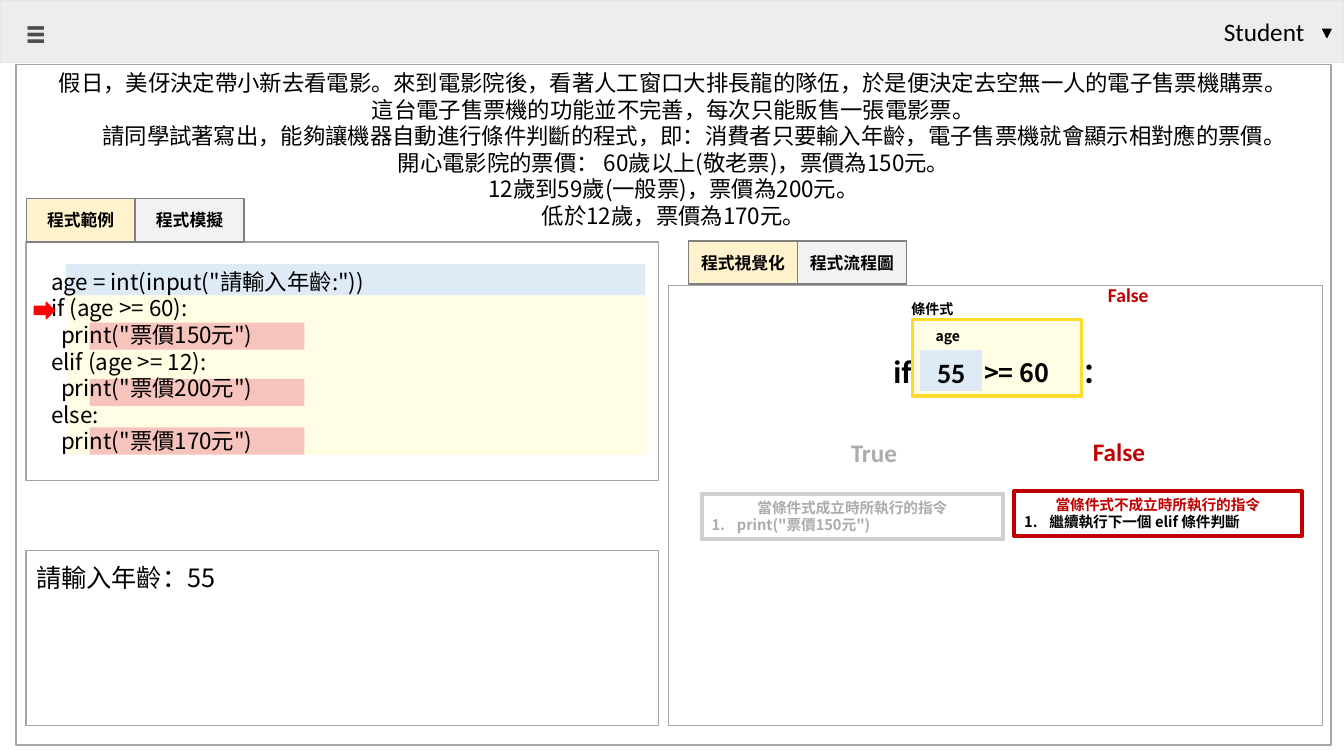
from lxml.etree import SubElement
from pptx import Presentation
from pptx.dml.color import RGBColor
from pptx.enum.shapes import MSO_SHAPE
from pptx.enum.text import MSO_ANCHOR, PP_ALIGN
from pptx.oxml.ns import qn
from pptx.util import Inches, Pt

BLACK = RGBColor(0x00, 0x00, 0x00)
WHITE = RGBColor(0xFF, 0xFF, 0xFF)
PANEL_LINE = RGBColor(0xA5, 0xA5, 0xA5)
TAB_LINE = RGBColor(0x80, 0x80, 0x80)
TAB_ACTIVE = RGBColor(0xFF, 0xF2, 0xCC)
TAB_IDLE = RGBColor(0xF2, 0xF2, 0xF2)
HEADER_FILL = RGBColor(0xED, 0xED, 0xED)
HEADER_LINE = RGBColor(0xE7, 0xE6, 0xE6)
MENU_GRAY = RGBColor(0x4D, 0x4D, 0x4D)
INPUT_BLUE = RGBColor(0xDE, 0xEB, 0xF7)
BRANCH_YELLOW = RGBColor(0xFF, 0xFD, 0xE3)
PRINT_PINK = RGBColor(0xF6, 0xC4, 0xBC)
CONDITION_GOLD = RGBColor(0xFF, 0xDA, 0x2D)
MUTED_LINE = RGBColor(0xD0, 0xCE, 0xCE)
MUTED_TEXT = RGBColor(0xAF, 0xAB, 0xAB)
FALSE_RED = RGBColor(0xC0, 0x00, 0x00)
POINTER_RED = RGBColor(0xFF, 0x00, 0x00)

CJK = "Noto Sans CJK SC"
LATIN = "Calibri"
CJK_LEADING = 1.19
TAB_WIDTH, TAB_HEIGHT = 1.08, 0.43

STYLES = {
    "body": {"name": CJK, "size": Pt(16), "bold": False},
    "console": {"name": CJK, "size": Pt(18), "bold": False},
    "tab": {"name": CJK, "size": Pt(12), "bold": True},
    "branch": {"name": CJK, "size": Pt(10.5), "bold": True},
    "caption": {"name": CJK, "size": Pt(10), "bold": True},
    "keyword": {"name": CJK, "size": Pt(20), "bold": True},
    "operator": {"name": CJK, "size": Pt(18), "bold": True},
    "value": {"name": LATIN, "size": Pt(20), "bold": True},
    "user": {"name": LATIN, "size": Pt(18), "bold": False},
    "menu": {"name": LATIN, "size": Pt(28), "bold": True},
    "outcome": {"name": LATIN, "size": Pt(18), "bold": True},
    "result": {"name": LATIN, "size": Pt(14), "bold": True},
}

STORY = [
    "假日，美伢決定帶小新去看電影。來到電影院後，看著人工窗口大排長龍的隊伍，於是便決定去空無一人的電子售票機購票。",
    "這台電子售票機的功能並不完善，每次只能販售一張電影票。",
    "請同學試著寫出，能夠讓機器自動進行條件判斷的程式，即：消費者只要輸入年齡，電子售票機就會顯示相對應的票價。",
    "開心電影院的票價： 60歲以上(敬老票)，票價為150元。",
    "12歲到59歲(一般票)，票價為200元。",
    "低於12歲，票價為170元。",
]
CODE = [
    '   age = int(input("請輸入年齡:"))',
    "   if (age >= 60):",
    '     print("票價150元")',
    "   elif (age >= 12):",
    '     print("票價200元")',
    "   else:",
    '     print("票價170元")',
]


def add_box(slide, at, fill=None, line=None, weight=1, kind=MSO_SHAPE.RECTANGLE):
    """Add a flat preset shape at (left, top, width, height) in inches."""
    box = slide.shapes.add_shape(kind, *map(Inches, at))
    box.shadow.inherit = False
    if fill is None:
        box.fill.background()
    else:
        box.fill.solid()
        box.fill.fore_color.rgb = fill
    if line is None:
        box.line.fill.background()
    else:
        box.line.color.rgb = line
        box.line.width = Pt(weight)
    return box


def write_lines(box, lines, style, color=BLACK, align=PP_ALIGN.LEFT, **frame_format):
    """Fill a shape with one paragraph per line in a named style."""
    frame = box.text_frame
    defaults = {"word_wrap": True, "vertical_anchor": MSO_ANCHOR.TOP}
    for attribute, value in {**defaults, **frame_format}.items():
        setattr(frame, attribute, value)
    for number, line in enumerate(lines):
        paragraph = frame.add_paragraph() if number else frame.paragraphs[0]
        paragraph.alignment = align
        run = paragraph.add_run()
        run.text = line
        for attribute, value in STYLES[style].items():
            setattr(run.font, attribute, value)
        run.font.color.rgb = color
        SubElement(run.font._element, qn("a:ea"), typeface=run.font.name)
        if run.font.name == CJK:
            paragraph.line_spacing = Pt(round(run.font.size.pt * CJK_LEADING, 1))
    return frame


def add_label(slide, at, text, style, color=BLACK, **frame_format):
    """Add a single line of free-standing text."""
    label = slide.shapes.add_textbox(*map(Inches, at))
    write_lines(label, [text], style, color, **{"word_wrap": False, **frame_format})


def add_tight_label(slide, left, middle, text, style):
    """Add a label without insets, centred on a height."""
    height = 0.4
    add_label(slide, (left, middle - height / 2, 0.8, height), text, style,
              margin_left=0, margin_right=0, margin_top=0, margin_bottom=0,
              vertical_anchor=MSO_ANCHOR.MIDDLE)


def add_tabs(slide, left, top, names):
    """Add a row of tabs with the first one active."""
    for number, name in enumerate(names):
        tab = add_box(slide, (left + number * TAB_WIDTH, top, TAB_WIDTH, TAB_HEIGHT),
                      TAB_IDLE if number else TAB_ACTIVE, TAB_LINE)
        write_lines(tab, [name], "tab", align=PP_ALIGN.CENTER,
                    vertical_anchor=MSO_ANCHOR.MIDDLE)


def add_branch(slide, at, heading, step, line, heading_color, step_color):
    """Add a branch box with a heading and one numbered step."""
    branch = add_box(slide, at, line=line, weight=3)
    frame = write_lines(branch, [heading, step], "branch", heading_color)
    title, command = frame.paragraphs
    title.alignment = PP_ALIGN.CENTER
    command.runs[0].font.color.rgb = step_color
    properties = command._p.get_or_add_pPr()
    properties.set("marL", str(Inches(0.25)))
    properties.set("indent", str(-Inches(0.25)))
    SubElement(properties, qn("a:buAutoNum"), type="arabicPeriod")


def add_story(slide):
    """Add the outer frame with the exercise text."""
    story = add_box(slide, (0.16, 0.64, 13.04, 6.75), line=PANEL_LINE)
    frame = write_lines(story, STORY, "body", align=PP_ALIGN.CENTER)
    frame.paragraphs[2]._p.get_or_add_pPr().set("marL", str(Inches(0.42)))


def add_code(slide):
    """Add the code panel over its highlighted lines."""
    add_box(slide, (0.65, 2.62, 5.75, 0.31), INPUT_BLUE)
    add_box(slide, (0.67, 2.93, 5.75, 1.58), BRANCH_YELLOW)
    for top in (3.2, 3.76, 4.24):
        add_box(slide, (0.89, top, 2.13, 0.27), PRINT_PINK)
    code = add_box(slide, (0.26, 2.4, 6.27, 2.37), line=PANEL_LINE)
    write_lines(code, CODE, "body", vertical_anchor=MSO_ANCHOR.MIDDLE)
    add_box(slide, (0.34, 3, 0.2, 0.16), POINTER_RED, POINTER_RED,
            kind=MSO_SHAPE.RIGHT_ARROW)


def add_condition(slide):
    """Add the if statement with its evaluated condition."""
    add_tight_label(slide, 9.04, 3.07, "條件式", "caption")
    add_tight_label(slide, 8.86, 3.7, "if", "keyword")
    add_tight_label(slide, 10.74, 3.7, "：", "keyword")
    add_box(slide, (9.05, 3.17, 1.68, 0.76), BRANCH_YELLOW, CONDITION_GOLD, 2.25)
    add_tight_label(slide, 9.28, 3.33, "age", "caption")
    add_tight_label(slide, 9.76, 3.7, ">= 60", "operator")
    age = add_box(slide, (9.13, 3.48, 0.61, 0.39), INPUT_BLUE, INPUT_BLUE, 0.75)
    write_lines(age, ["55"], "value", align=PP_ALIGN.CENTER)
    add_label(slide, (10.89, 2.76, 0.87, 0.34), "False", "result", FALSE_RED)


def add_outcomes(slide):
    """Add the true and false branches."""
    add_label(slide, (8.34, 4.29, 0.66, 0.28), "True", "outcome", MUTED_TEXT)
    add_label(slide, (10.74, 4.28, 0.72, 0.28), "False", "outcome", FALSE_RED)
    add_branch(slide, (6.96, 4.9, 2.99, 0.45), "當條件式成立時所執行的指令",
               'print("票價150元")', MUTED_LINE, MUTED_TEXT, MUTED_TEXT)
    add_branch(slide, (10.06, 4.87, 2.85, 0.45), "當條件式不成立時所執行的指令",
               "繼續執行下一個 elif 條件判斷", FALSE_RED, FALSE_RED, BLACK)


def add_header(slide):
    """Add the top bar with the menu and the user name."""
    add_box(slide, (0, 0, 13.33, 0.62), HEADER_FILL, HEADER_LINE)
    add_label(slide, (12.04, 0.11, 1.16, 0.4), "Student", "user")
    add_label(slide, (0.16, 0.03, 0.49, 0.57), "≡", "menu", MENU_GRAY)
    dropdown = add_box(slide, (13.12, 0.29, 0.08, 0.08), BLACK, BLACK,
                       kind=MSO_SHAPE.ISOSCELES_TRIANGLE)
    dropdown.rotation = 180


def main():
    """Build and save the slide."""
    deck = Presentation()
    deck.slide_width, deck.slide_height = Inches(13.33), Inches(7.5)
    slide = deck.slides.add_slide(deck.slide_layouts[6])
    add_story(slide)
    add_code(slide)
    add_box(slide, (6.63, 2.83, 6.49, 4.37), WHITE, PANEL_LINE)
    add_condition(slide)
    add_header(slide)
    add_tabs(slide, 6.83, 2.39, ["程式視覺化", "程式流程圖"])
    add_tabs(slide, 0.26, 1.97, ["程式範例", "程式模擬"])
    console = add_box(slide, (0.26, 5.46, 6.27, 1.74), WHITE, PANEL_LINE)
    write_lines(console, ["請輸入年齡：55"], "console", margin_top=Inches(0.12))
    add_outcomes(slide)
    deck.save("out.pptx")


if __name__ == "__main__":
    main()
